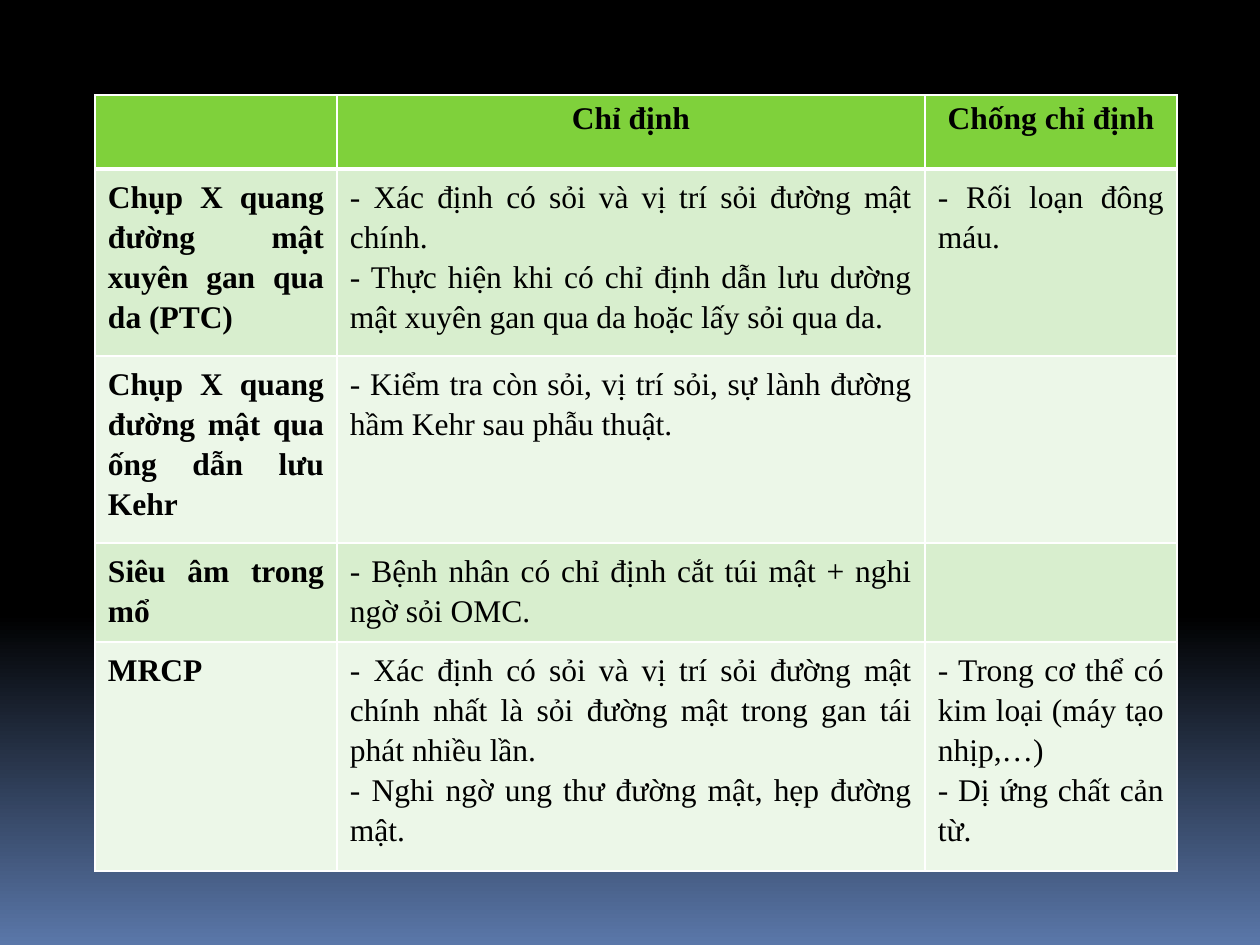
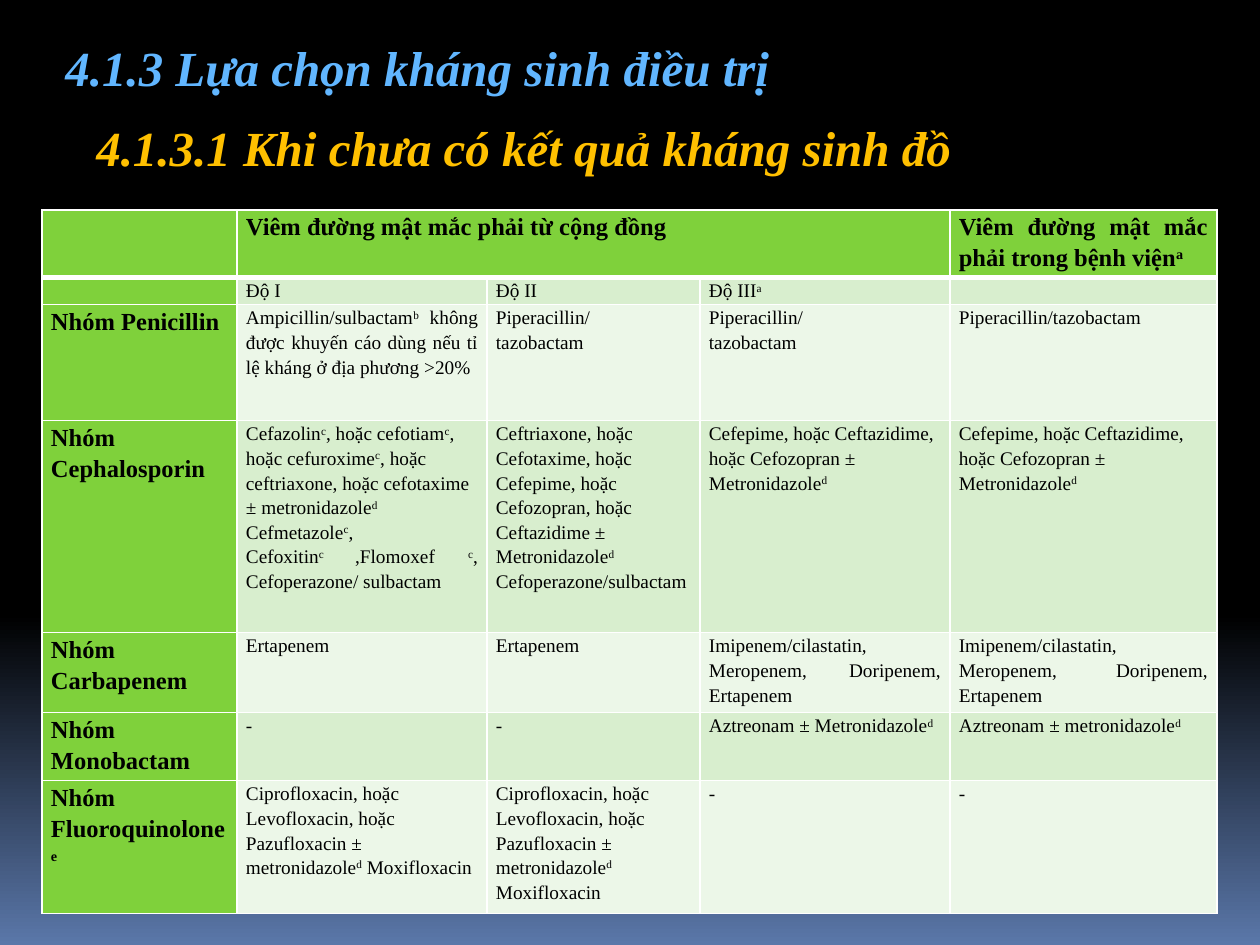
from lxml import etree
from pptx import Presentation
from pptx import util as u
from pptx.dml import color
from pptx.enum import text
from pptx.oxml import ns

PX = 914400 / 126
FONT = "Times New Roman"
GREEN, WHITE, BLACK = "7FD13B", "FFFFFF", "000000"
BANDS = ("ECF7E8", "D8EECE")
NIGHT, DUSK = "000000", "5A77A9"
ALIGN = text.PP_ALIGN

# ^x^ is superscript, a leading < makes a paragraph left-aligned, \n starts a new one.
IMAGING = dict(
    left=95, top=95,
    columns=(242, 588, 252),
    heights=(74, 187, 187, 99, 229),
    rows=[
        ("", "Chỉ định", "Chống chỉ định"),
        ("Chụp X quang đường mật xuyên gan qua da (PTC)",
         "- Xác định có sỏi và vị trí sỏi đường mật chính.\n"
         "- Thực hiện khi có chỉ định dẫn lưu dường mật xuyên gan qua da hoặc lấy sỏi qua da.",
         "- Rối loạn đông máu."),
        ("Chụp X quang đường mật qua ống dẫn lưu Kehr",
         "- Kiểm tra còn sỏi, vị trí sỏi, sự lành đường hầm Kehr sau phẫu thuật.", ""),
        ("Siêu âm trong mổ",
         "- Bệnh nhân có chỉ định cắt túi mật + nghi ngờ sỏi OMC.", ""),
        ("MRCP",
         "- Xác định có sỏi và vị trí sỏi đường mật chính nhất là sỏi đường mật "
         "trong gan tái phát nhiều lần.\n"
         "- Nghi ngờ ung thư đường mật, hẹp đường mật.",
         "- Trong cơ thể có kim loại (máy tạo nhịp,…)\n- Dị ứng chất cản từ."),
    ],
    heading_size=18, body_size=18, margins=(13, 6),
    header_align=ALIGN.CENTER, header_spacing=1.0,
    green_first_column=False, merged=None,
)

PIPERACILLIN = "Piperacillin/\ntazobactam"
CEFEPIME = "<Cefepime, hoặc Ceftazidime, hoặc Cefozopran ± Metronidazole^d^"
IMIPENEM = "Imipenem/cilastatin, Meropenem, Doripenem, Ertapenem"
CIPROFLOXACIN = ("<Ciprofloxacin, hoặc Levofloxacin, hoặc Pazufloxacin ± "
                 "metronidazole^d^ Moxifloxacin")

ANTIBIOTICS = dict(
    left=42, top=210,
    columns=(195, 250, 213, 250, 267),
    heights=(67, 27, 116, 212, 80, 68, 133),
    rows=[
        ("", "Viêm đường mật mắc phải từ cộng đồng", "", "",
         "Viêm đường mật mắc phải trong bệnh viện^a^"),
        ("", "Độ I", "Độ II", "Độ III^a^", ""),
        ("Nhóm Penicillin",
         "Ampicillin/sulbactam^b ^không được khuyến cáo dùng nếu tỉ lệ kháng "
         "ở địa phương >20%",
         PIPERACILLIN, PIPERACILLIN, "Piperacillin/tazobactam"),
        ("Nhóm Cephalosporin",
         "<Cefazolin^c^, hoặc cefotiam^c^, hoặc cefuroxime^c^, hoặc ceftriaxone, "
         "hoặc cefotaxime ± metronidazole^d^\n"
         "Cefmetazole^c^, Cefoxitin^c ^,Flomoxef ^c^, Cefoperazone/ sulbactam",
         "<Ceftriaxone, hoặc Cefotaxime, hoặc Cefepime, hoặc Cefozopran, hoặc "
         "Ceftazidime ± Metronidazole^d^\nCefoperazone/sulbactam",
         CEFEPIME, CEFEPIME),
        ("Nhóm Carbapenem", "Ertapenem", "Ertapenem", IMIPENEM, IMIPENEM),
        ("Nhóm Monobactam", "-", "-",
         "<Aztreonam ± Metronidazole^d^", "<Aztreonam ± metronidazole^d^"),
        ("Nhóm Fluoroquinolone^e ^", CIPROFLOXACIN, CIPROFLOXACIN, "-", "-"),
    ],
    heading_size=14, body_size=11, margins=(9, 0),
    header_align=ALIGN.JUSTIFY, header_spacing=1.15,
    green_first_column=True, merged=((0, 1), (0, 3)),
)

TITLES = [
    ("4.1.3 Lựa chọn kháng sinh điều trị", "61B6FF", (53, 31, 976, 72)),
    ("4.1.3.1 Khi chưa có kết quả kháng sinh đồ", "FFC000", (84, 111, 1018, 72)),
]


def px(length):
    return u.Emu(round(length * PX))


def rgb(value):
    return color.RGBColor.from_string(value)


def style(font, ink, **values):
    font.color.rgb = rgb(ink)
    for name, value in dict(name=FONT, **values).items():
        setattr(font, name, value)


def paint_background(master):
    """Black for the top two thirds, then fading downwards to blue."""
    fill = master.background.fill
    fill.gradient()
    fill.gradient_angle = 270
    for stop, tint, position in zip(fill.gradient_stops, (NIGHT, DUSK), (0.65, 1)):
        stop.color.rgb = rgb(tint)
        stop.position = position


def add_titles(slide):
    for words, ink, place in TITLES:
        box = slide.shapes.add_textbox(*map(px, place))
        box.text_frame.word_wrap = True
        run = box.text_frame.paragraphs[0].add_run()
        run.text = words
        style(run.font, ink, size=u.Pt(28), bold=True, italic=True)


def add_borders(cell, row):
    """White lines; the one below the header row is heavier."""
    widths = dict(lnL=1, lnR=1, lnT=3 if row == 1 else 1, lnB=3 if row == 0 else 1)
    properties = cell._tc.get_or_add_tcPr()
    for side, points in widths.items():
        line = etree.SubElement(properties, ns.qn(f"a:{side}"), w=str(u.Pt(points)))
        solid = etree.SubElement(line, ns.qn("a:solidFill"))
        etree.SubElement(solid, ns.qn("a:srgbClr"), val=WHITE)


def write_cell(cell, words, size, bold, align, spacing):
    cell.text_frame.text = words
    for paragraph, content in zip(cell.text_frame.paragraphs, words.split("\n")):
        paragraph.clear()
        paragraph.alignment = ALIGN.LEFT if content.startswith("<") else align
        paragraph.line_spacing = spacing
        for index, piece in enumerate(content.lstrip("<").split("^")):
            if piece:
                run = paragraph.add_run()
                run.text = piece
                style(run.font, BLACK, size=u.Pt(size), bold=bold)
                if index % 2:
                    run.font._element.set("baseline", "30000")
        if not content:
            etree.SubElement(paragraph._p, ns.qn("a:endParaRPr"), sz=str(size * 100))


def add_grid(slide, grid):
    columns, heights = grid["columns"], grid["heights"]
    place = (grid["left"], grid["top"], sum(columns), sum(heights))
    table = slide.shapes.add_table(len(heights), len(columns), *map(px, place)).table
    for column, width in zip(table.columns, columns):
        column.width = px(width)
    for table_row, height in zip(table.rows, heights):
        table_row.height = px(height)
    side, edge = map(px, grid["margins"])
    margins = dict(margin_left=side, margin_right=side, margin_top=edge, margin_bottom=edge)
    for r, row in enumerate(grid["rows"]):
        for c, words in enumerate(row):
            cell = table.cell(r, c)
            for name, value in margins.items():
                setattr(cell, name, value)
            add_borders(cell, r)
            green = r == 0 or (c == 0 and grid["green_first_column"])
            cell.fill.solid()
            cell.fill.fore_color.rgb = rgb(GREEN if green else BANDS[r % 2])
            heading = r == 0 or (c == 0 and words != "")
            write_cell(cell, words,
                       grid["heading_size"] if heading else grid["body_size"], heading,
                       grid["header_align"] if r == 0 else ALIGN.JUSTIFY,
                       grid["header_spacing"] if r == 0 else 1.15)
    if grid["merged"]:
        first, last = grid["merged"]
        table.cell(*first).merge(table.cell(*last))


def main():
    deck = Presentation()
    deck.slide_width, deck.slide_height = px(1260), px(945)
    paint_background(deck.slide_master)
    blank = deck.slide_layouts[6]
    add_grid(deck.slides.add_slide(blank), IMAGING)
    antibiotic_slide = deck.slides.add_slide(blank)
    add_titles(antibiotic_slide)
    add_grid(antibiotic_slide, ANTIBIOTICS)
    deck.save("out.pptx")


if __name__ == "__main__":
    main()
